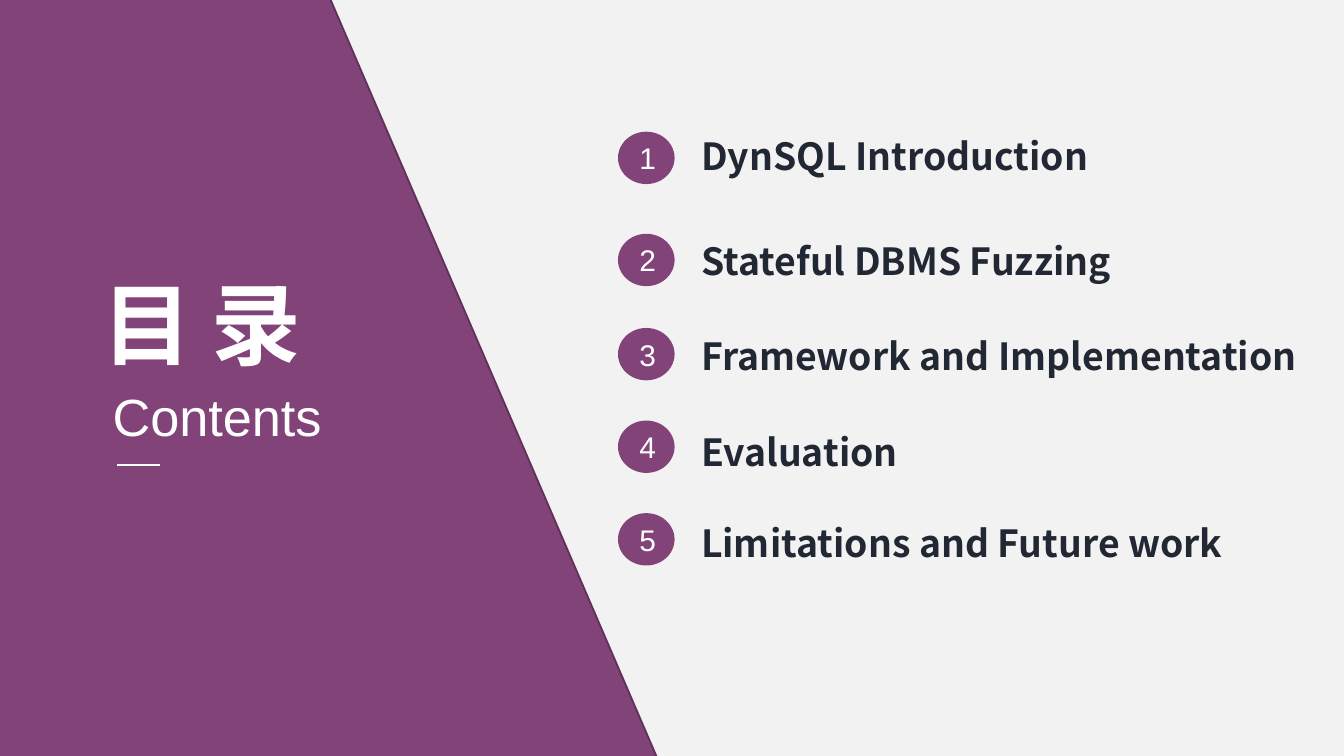
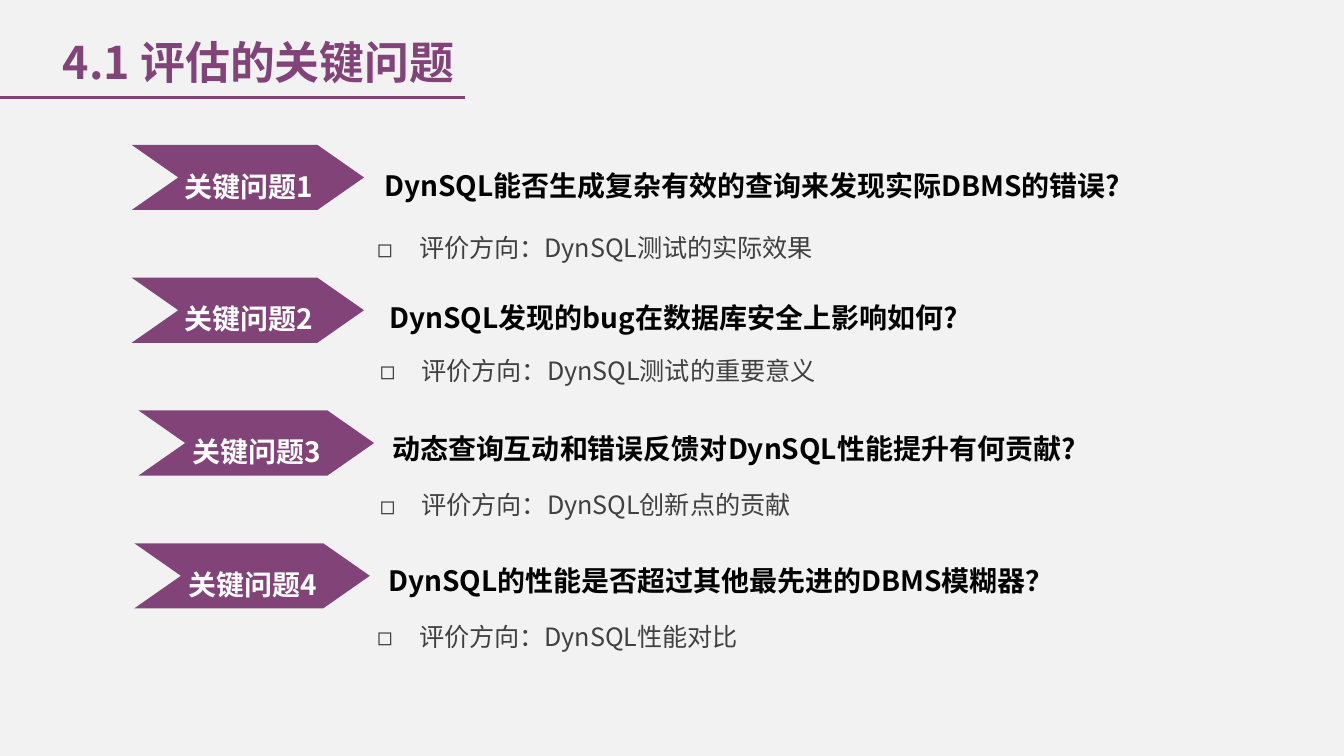
"""Build the contents slide and the key questions slide."""
from lxml.etree import SubElement
from pptx import Presentation
from pptx.dml.color import RGBColor
from pptx.enum.shapes import MSO_CONNECTOR as Connector, MSO_SHAPE as Shape
from pptx.enum.text import MSO_ANCHOR as Anchor, MSO_AUTO_SIZE as AutoSize, PP_ALIGN as Align
from pptx.oxml.ns import qn
from pptx.util import Cm, Pt

PURPLE, PURPLE_EDGE, BACKGROUND = "824379", "60325A", "F2F2F2"
WHITE, BLACK, NAVY, GREY = "FFFFFF", "000000", "212834", "404040"
SANS, CJK = "Arial", "Noto Sans CJK SC"

# text, text top, text width, circle top
CHAPTERS = [
    ("DynSQL Introduction", 2.39, 8.2, 2.49),
    ("Stateful DBMS Fuzzing", 4.37, 10.46, 4.42),
    ("Framework and Implementation", 6.17, 12.34, 6.2),
    ("Evaluation", 7.98, 8.2, 7.95),
    ("Limitations and Future work", 9.7, 11.58, 9.7),
]

# question, (left, width, indent), direction, (left, top, width), (arrow left, width)
QUESTIONS = [
    ("DynSQL能否生成复杂有效的查询来发现实际DBMS的错误?", (6.17, 16.76, 0.84),
     "DynSQL测试的实际效果", (6.88, 3.99, 16.03), (2.49, 4.39)),
    ("DynSQL发现的bug在数据库安全上影响如何?", (7.11, 15.62, 0),
     "DynSQL测试的重要意义", (6.93, 6.3, 17.32), (2.49, 4.39)),
    ("动态查询互动和错误反馈对DynSQL性能提升有何贡献?", (7.16, 15.65, 0),
     "DynSQL创新点的贡献", (6.93, 8.84, 15.98), (2.62, 4.45)),
    ("DynSQL的性能是否超过其他最先进的DBMS模糊器？", (7.09, 15.62, 0),
     "DynSQL性能对比", (6.88, 11.33, 15.98), (2.54, 4.45)),
]
FIRST_TOP, ARROW_STEP, QUESTION_STEP = 2.74, 2.51, 2.49
ARROW_HEIGHT, ARROW_NOTCH = 1.23, 0.88


def color(hex_string):
    return RGBColor.from_string(hex_string)


def write(shape, text, size, hex_string, font=CJK, bold=False, align=None,
          spacing=None, margin=0, indent=0, bullet=None):
    paragraph = shape.text_frame.paragraphs[0]
    paragraph.text = text
    properties = paragraph._p.get_or_add_pPr()
    if margin or indent:
        properties.set("marL", str(Cm(margin)))
        properties.set("indent", str(Cm(indent)))
    if bullet:
        SubElement(properties, qn("a:buFont")).set("typeface", font)
        SubElement(properties, qn("a:buChar")).set("char", bullet)
    if align is not None:
        paragraph.alignment = align
    if spacing:
        paragraph.line_spacing = spacing
    paragraph.font.name = font
    paragraph.font.size = Pt(size)
    paragraph.font.bold = bold
    paragraph.font.color.rgb = color(hex_string)
    defaults = properties.find(qn("a:defRPr"))
    SubElement(defaults, qn("a:ea")).set("typeface", font)


def add_text(slide, box, text, size, hex_string, **style):
    shape = slide.shapes.add_textbox(*map(Cm, box))
    shape.text_frame.word_wrap = True
    shape.text_frame.auto_size = AutoSize.SHAPE_TO_FIT_TEXT
    write(shape, text, size, hex_string, **style)


def paint(shape, edge=None):
    shape.shadow.inherit = False
    shape.fill.solid()
    shape.fill.fore_color.rgb = color(PURPLE)
    if edge:
        shape.line.color.rgb = color(edge)
        shape.line.width = Pt(1)
    else:
        shape.line.fill.background()


def add_rule(slide, left, right, y, hex_string):
    rule = slide.shapes.add_connector(Connector.STRAIGHT, Cm(left), Cm(y), Cm(right), Cm(y))
    rule.line.color.rgb = color(hex_string)
    rule.line.width = Pt(1.5)
    SubElement(rule._element.spPr, qn("a:effectLst"))


def add_slide(presentation):
    slide = presentation.slides.add_slide(presentation.slide_layouts[6])
    slide.background.fill.solid()
    slide.background.fill.fore_color.rgb = color(BACKGROUND)
    return slide


def add_arrow(slide, left, top, width, text):
    right, bottom, middle = left + width, top + ARROW_HEIGHT, top + ARROW_HEIGHT / 2
    shoulder = right - ARROW_NOTCH
    builder = slide.shapes.build_freeform(Cm(left), Cm(top))
    corners = [(shoulder, top), (right, middle), (shoulder, bottom),
               (left, bottom), (left + ARROW_NOTCH, middle)]
    builder.add_line_segments([(Cm(x), Cm(y)) for x, y in corners])
    arrow = builder.convert_to_shape()
    paint(arrow)
    frame = arrow.text_frame
    frame.word_wrap = True
    frame.vertical_anchor = Anchor.MIDDLE
    frame.margin_left, frame.margin_right = Cm(0.69), Cm(0.66)
    frame.margin_top = frame.margin_bottom = 0
    write(arrow, text, 15, WHITE, bold=True, align=Align.CENTER, spacing=1.5)


def build_contents(presentation):
    slide = add_slide(presentation)
    panel = slide.shapes.add_shape(Shape.RECTANGLE, Cm(-5.61), Cm(2.51), Cm(18.29), Cm(11.53))
    panel.rotation = 66.7
    paint(panel, PURPLE_EDGE)
    add_text(slide, (1.88, 7.14, 5.38, 1.45), "Contents", 28, WHITE, font=SANS)
    add_text(slide, (1.68, 4.95, 5.03, 2.31), "目 录", 48, WHITE, bold=True)
    add_rule(slide, 2.21, 3.02, 8.79, WHITE)
    for number, (text, top, width, circle_top) in enumerate(CHAPTERS, 1):
        add_text(slide, (13, top, width, 1.12), text, 20, NAVY, bold=True)
        circle = slide.shapes.add_shape(Shape.OVAL, Cm(11.68), Cm(circle_top), Cm(1.07), Cm(0.99))
        paint(circle)
        circle.text_frame.vertical_anchor = Anchor.MIDDLE
        write(circle, str(number), 16, WHITE, font=SANS, align=Align.CENTER)


def build_questions(presentation):
    slide = add_slide(presentation)
    add_text(slide, (0.94, 0.53, 8.84, 1.27), "4.1 评估的关键问题", 24, PURPLE, bold=True)
    add_rule(slide, 0, 8.79, 1.85, PURPLE)
    for row, (question, place, direction, direction_box, arrow) in enumerate(QUESTIONS):
        left, width, indent = place
        add_text(slide, (left, FIRST_TOP + row * QUESTION_STEP, width, 1.22), question, 15,
                 BLACK, bold=True, align=Align.JUSTIFY, spacing=1.5, indent=indent)
        add_text(slide, (*direction_box, 1.12), f"评价方向：{direction}", 13.5, GREY,
                 align=Align.JUSTIFY, spacing=1.5, margin=0.79, indent=-0.79, bullet="◻")
        arrow_left, arrow_width = arrow
        add_arrow(slide, arrow_left, FIRST_TOP + row * ARROW_STEP, arrow_width,
                  f"关键问题{row + 1}")


def main():
    presentation = Presentation()
    presentation.slide_width, presentation.slide_height = Cm(25.4), Cm(14.29)
    build_contents(presentation)
    build_questions(presentation)
    presentation.save("out.pptx")


if __name__ == "__main__":
    main()
